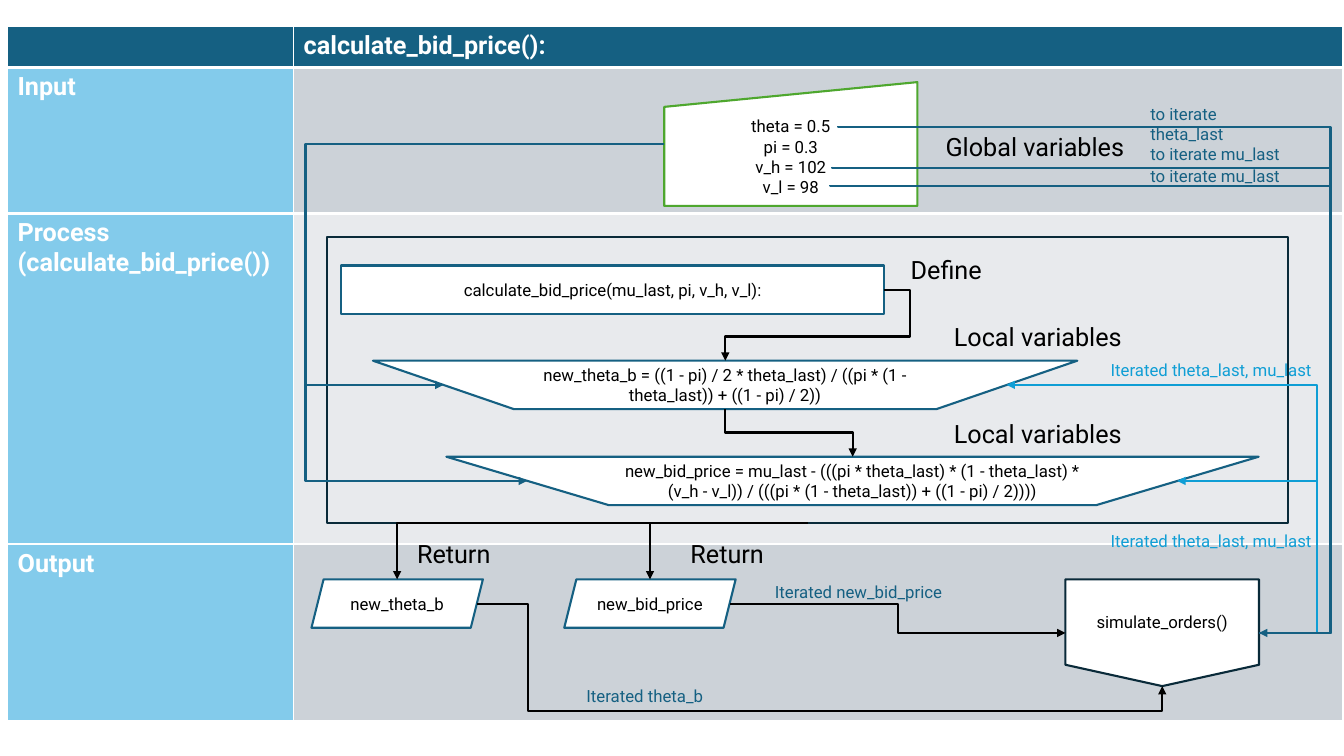
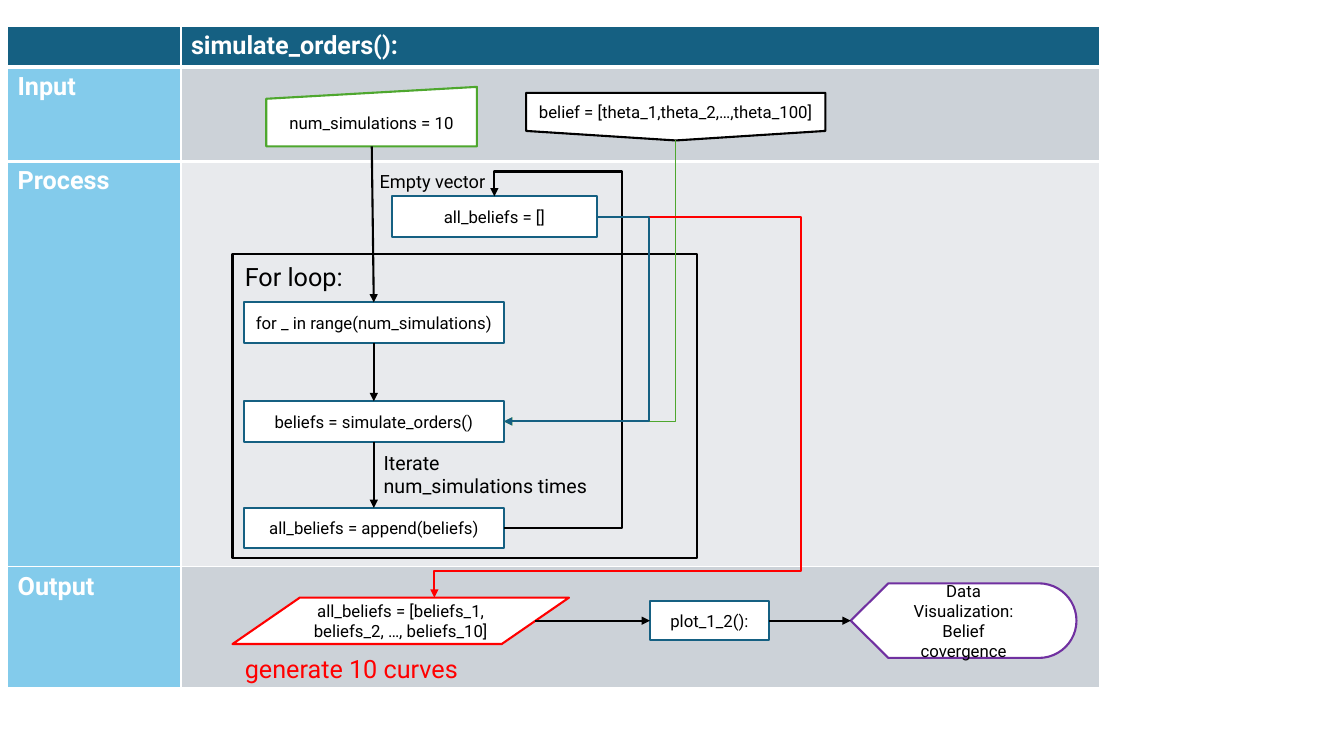
import lxml.etree
import pptx
import pptx.dml.color
import pptx.enum.shapes
import pptx.enum.text
import pptx.oxml.ns
import pptx.util

Cm = pptx.util.Cm
Pt = pptx.util.Pt
RGB = pptx.dml.color.RGBColor
PRESET = pptx.enum.shapes.MSO_SHAPE
CONNECTOR = pptx.enum.shapes.MSO_CONNECTOR
qn = pptx.oxml.ns.qn

FONT = "Roboto"
TEAL = RGB(0x15, 0x60, 0x82)
SKY = RGB(0x83, 0xCB, 0xEB)
CYAN = RGB(0x0F, 0x9E, 0xD5)
NAVY = RGB(0x09, 0x2A, 0x39)
GREEN = RGB(0x4E, 0xA7, 0x2E)
RED = RGB(0xFF, 0x00, 0x00)
PURPLE = RGB(0x70, 0x30, 0xA0)
BAND_DARK = RGB(0xCC, 0xD2, 0xD8)
BAND_LIGHT = RGB(0xE8, 0xEA, 0xED)
BLACK = RGB(0x00, 0x00, 0x00)
WHITE = RGB(0xFF, 0xFF, 0xFF)

LANES_LEFT, LANES_TOP = 0.19, 0.66
ROW_FILLS = [(TEAL, TEAL), (SKY, BAND_DARK), (SKY, BAND_LIGHT), (SKY, BAND_DARK)]
SITE_TOLERANCE = 0.06

RECT = PRESET.RECTANGLE
INPUT = PRESET.FLOWCHART_MANUAL_INPUT
OPERATION = PRESET.FLOWCHART_MANUAL_OPERATION
OFFPAGE = PRESET.FLOWCHART_OFFPAGE_CONNECTOR
SLANTED = PRESET.PARALLELOGRAM
DATA = PRESET.FLOWCHART_DATA
DISPLAY = PRESET.FLOWCHART_DISPLAY

BID_PRICE = {
    "headings": ["calculate_bid_price():", "Input",
                 "Process\n(calculate_bid_price())", "Output"],
    "columns": (7.21, 26.44),
    "rows": (1.04, 3.68, 8.33, 4.45),
    "steps": [
        (RECT, "calculate_bid_price(mu_last, pi, v_h, v_l):", TEAL, (8.6, 6.69, 13.69, 1.22)),
        (INPUT, "theta = 0.5\npi = 0.3\nv_h = 102\nv_l = 98", GREEN, (16.74, 2.07, 6.38, 3.12)),
        (OPERATION, "new_theta_b = ((1 - pi) / 2 * theta_last) / "
                    "((pi * (1 - theta_last)) + ((1 - pi) / 2))",
         TEAL, (9.4, 9.09, 17.75, 1.22)),
        (OPERATION, "new_bid_price = mu_last - (((pi * theta_last) * (1 - theta_last) * "
                    "(v_h - v_l)) / (((pi * (1 - theta_last)) + ((1 - pi) / 2))))",
         TEAL, (11.25, 11.51, 20.47, 1.22)),
        (SLANTED, "new_theta_b", TEAL, (7.85, 14.6, 4.32, 1.22)),
        (SLANTED, "new_bid_price", TEAL, (14.22, 14.6, 4.32, 1.22)),
        (RECT, "", NAVY, (8.24, 5.98, 24.21, 7.2)),
        (OFFPAGE, "simulate_orders()", NAVY, (26.85, 14.6, 4.88, 2.69)),
    ],
    "routes": [
        (TEAL, 1.5, True, [(16.74, 3.63), (7.72, 3.63), (7.72, 9.7), (11.18, 9.7)]),
        (TEAL, 1.5, True, [(16.74, 3.63), (7.7, 3.63), (7.7, 12.12), (13.28, 12.12)]),
        (BLACK, 1.5, True, [(20.35, 13.18), (10.01, 13.18), (10.01, 14.6)]),
        (BLACK, 1.5, True, [(20.35, 13.18), (20.35, 13.18), (16.38, 13.18), (16.38, 14.6)]),
        (BLACK, 1.5, True, [(18.39, 15.21), (22.63, 15.21), (22.63, 15.95), (26.85, 15.95)]),
        (BLACK, 1.5, True, [(12.01, 15.21), (13.31, 15.21), (13.31, 17.91),
                            (29.29, 17.91), (29.29, 17.29)]),
        (BLACK, 1.5, True, [(22.29, 7.3), (22.94, 7.3), (22.94, 8.48),
                            (18.28, 8.48), (18.28, 9.09)]),
        (BLACK, 1.5, True, [(18.28, 10.31), (18.28, 10.9), (21.49, 10.9), (21.49, 11.51)]),
        (CYAN, 1.5, True, [(31.73, 15.95), (33.2, 15.95), (33.2, 9.7), (25.37, 9.7)]),
        (CYAN, 1.5, True, [(31.73, 15.95), (33.2, 15.95), (33.2, 12.12), (29.67, 12.12)]),
        (TEAL, 1.5, True, [(21.13, 3.18), (21.13, 3.2), (33.53, 3.2),
                           (33.53, 15.95), (31.73, 15.95)]),
        (TEAL, 1.5, False, [(20.97, 4.2), (20.97, 4.23), (33.53, 4.23),
                            (33.53, 15.95), (31.73, 15.95)]),
        (TEAL, 1.5, False, [(20.93, 4.67), (20.93, 4.69), (33.53, 4.69),
                            (33.53, 15.95), (31.73, 15.95)]),
    ],
    "labels": [
        ("Define", 18, BLACK, (22.7, 6.29, 2.44)),
        ("Return", 18, BLACK, (10.26, 13.44, 2.44)),
        ("Return", 18, BLACK, (17.15, 13.44, 2.44)),
        ("Global variables", 18, BLACK, (23.58, 3.18, 5.49)),
        ("Local variables", 18, BLACK, (23.79, 7.97, 5.49)),
        ("Local variables", 18, BLACK, (23.79, 10.41, 5.49)),
        ("Iterated theta_last, mu_last", 12, CYAN, (27.74, 8.94, 5.74)),
        ("Iterated theta_last, mu_last", 12, CYAN, (27.74, 13.25, 5.74)),
        ("to iterate theta_last", 12, TEAL, (28.74, 2.49, 4.04)),
        ("to iterate mu_last", 12, TEAL, (28.74, 3.5, 4.04)),
        ("to iterate mu_last", 12, TEAL, (28.74, 4.04, 4.04)),
        ("Iterated theta_b", 12, TEAL, (14.53, 17.15, 3.84)),
        ("Iterated new_bid_price", 12, TEAL, (19.28, 14.54, 4.88)),
    ],
}

SIMULATE = {
    "headings": ["simulate_orders():", "Input", "Process", "Output"],
    "columns": (4.37, 23.16),
    "rows": (1.02, 2.39, 10.21, 3.05),
    "steps": [
        (OFFPAGE, "belief = [theta_1,theta_2,…,theta_100]", BLACK, (13.26, 2.34, 7.54, 1.2)),
        (INPUT, "num_simulations = 10", GREEN, (6.71, 2.19, 5.31, 1.5)),
        (RECT, "for _ in range(num_simulations)", TEAL, (6.15, 7.62, 6.55, 1.02)),
        (RECT, "", BLACK, (5.86, 6.4, 11.71, 7.67)),
        (RECT, "beliefs = simulate_orders()", TEAL, (6.15, 10.11, 6.55, 1.02)),
        (RECT, "all_beliefs = append(beliefs)", TEAL, (6.15, 12.8, 6.55, 1.02)),
        (DATA, "all_beliefs = [beliefs_1, beliefs_2, …, beliefs_10]", RED,
         (5.86, 15.06, 8.48, 1.17)),
        (RECT, "all_beliefs = []", TEAL, (9.87, 4.95, 5.18, 1.02)),
        (DISPLAY, "Data Visualization: Belief covergence", PURPLE, (21.44, 14.7, 5.69, 1.88)),
        (RECT, "plot_1_2():", TEAL, (16.38, 15.15, 3, 0.97)),
    ],
    "routes": [
        (BLACK, 1.5, True, [(9.37, 3.69), (9.42, 7.62)]),
        (GREEN, 1, True, [(17.03, 3.54), (17.03, 10.62), (12.7, 10.62)]),
        (BLACK, 1.5, True, [(9.42, 8.64), (9.42, 10.11)]),
        (BLACK, 1.5, True, [(9.42, 11.13), (9.42, 12.8)]),
        (BLACK, 1.5, True, [(12.7, 13.31), (15.68, 13.31), (15.68, 4.32),
                            (12.46, 4.32), (12.46, 4.95)]),
        (RED, 1.5, True, [(15.05, 5.46), (20.2, 5.46), (20.2, 14.38),
                          (10.95, 14.38), (10.95, 15.06)]),
        (TEAL, 1.5, True, [(15.05, 5.46), (16.36, 5.46), (16.36, 10.62), (12.7, 10.62)]),
        (BLACK, 1.5, True, [(13.49, 15.64), (16.38, 15.64)]),
        (BLACK, 1.5, True, [(19.38, 15.64), (21.44, 15.64)]),
    ],
    "labels": [
        ("For loop:", 18, BLACK, (5.92, 6.45, 3)),
        ("Iterate num_simulations times", 14, BLACK, (9.42, 11.23, 5.74)),
        ("generate 10 curves", 18, RED, (5.92, 16.33, 7.01)),
        ("Empty vector", 13, BLACK, (9.32, 4.17, 3.48)),
    ],
}


def write(text_frame, text, size, color, bold=False, align=None):
    text_frame.text = text
    for paragraph in text_frame.paragraphs:
        paragraph.alignment = align
        for run in paragraph.runs:
            run.font.name = FONT
            run.font.size = Pt(size)
            run.font.bold = bold
            run.font.color.rgb = color


def add_thick_edge(cell, side):
    edge = lxml.etree.Element(qn(side), w=str(Pt(3)))
    fill = lxml.etree.SubElement(edge, qn("a:solidFill"))
    lxml.etree.SubElement(fill, qn("a:srgbClr"), val=str(WHITE))
    cell.fill.solid()
    cell._tc.get_or_add_tcPr().insert(0, edge)


def add_lanes(slide, headings, columns, rows):
    lanes = slide.shapes.add_table(
        len(rows), len(columns), Cm(LANES_LEFT), Cm(LANES_TOP),
        Cm(sum(columns)), Cm(sum(rows))).table
    lanes.horz_banding = False
    for index, width in enumerate(columns):
        lanes.columns[index].width = Cm(width)
        add_thick_edge(lanes.cell(0, index), "a:lnB")
        add_thick_edge(lanes.cell(1, index), "a:lnT")
    for index, (heading, height, fills) in enumerate(zip(headings, rows, ROW_FILLS)):
        lanes.rows[index].height = Cm(height)
        for cell, color in zip(lanes.rows[index].cells, fills):
            cell.fill.solid()
            cell.fill.fore_color.rgb = color
        heading_cell = lanes.cell(index, 1 if index == 0 else 0)
        write(heading_cell.text_frame, heading, 18, WHITE, bold=True)


def add_step(slide, preset, text, outline, box):
    step = slide.shapes.add_shape(preset, *map(Cm, box))
    step.shadow.inherit = False
    step.line.color.rgb = outline
    step.line.width = Pt(1.5)
    if text:
        step.fill.solid()
        step.fill.fore_color.rgb = WHITE
        step.text_frame.word_wrap = True
        step.text_frame.vertical_anchor = pptx.enum.text.MSO_ANCHOR.MIDDLE
        write(step.text_frame, text, 12, BLACK, align=pptx.enum.text.PP_ALIGN.CENTER)
    else:
        step.fill.background()
    return step, preset, box


def find_site(steps, point):
    for step, preset, (left, top, width, height) in steps:
        if preset in (SLANTED, DATA):
            continue
        inset = width / 10 if preset == OPERATION else 0
        middle, center = top + height / 2, left + width / 2
        sites = [(center, top), (left + inset, middle), (center, top + height),
                 (left + width - inset, middle)]
        for index, site in enumerate(sites):
            if max(abs(site[0] - point[0]), abs(site[1] - point[1])) < SITE_TOLERANCE:
                return step, index
    return None


def bend(connector, points):
    upright = points[0][0] == points[1][0]
    turned = [(y, -x) if upright else (x, y) for x, y in points]
    (u0, v0), (u1, v1) = turned[0], turned[-1]
    width, height = abs(u1 - u0), abs(v1 - v0)
    connector.left = Cm((points[0][0] + points[-1][0] - width) / 2)
    connector.top = Cm((points[0][1] + points[-1][1] - height) / 2)
    connector.width, connector.height = Cm(width), Cm(height)

    flip_h, flip_v, turn = u1 < u0, v1 < v0, 90 if upright else 0
    if upright and flip_v:
        flip_h, flip_v, turn = not flip_h, False, 270
    frame = connector.element.spPr.find(qn("a:xfrm"))
    for name, value in (("rot", turn * 60000), ("flipH", int(flip_h)), ("flipV", int(flip_v))):
        frame.set(name, str(value))

    geometry = connector.element.spPr.find(qn("a:prstGeom"))
    geometry.set("prst", f"bentConnector{len(points) - 1}")
    ratios = [(turned[1][0] - u0) / (u1 - u0), (turned[2][1] - v0) / (v1 - v0)]
    guides = geometry.find(qn("a:avLst"))
    for number, ratio in enumerate(ratios[:len(points) - 3], 1):
        lxml.etree.SubElement(guides, qn("a:gd"), name=f"adj{number}",
                              fmla=f"val {round(ratio * 100000)}")


def add_route(slide, steps, color, width, arrow, points):
    bent = len(points) > 2
    kind = CONNECTOR.ELBOW if bent else CONNECTOR.STRAIGHT
    route = slide.shapes.add_connector(kind, *map(Cm, points[0] + points[-1]))
    if bent:
        for attach, point in ((route.begin_connect, points[0]), (route.end_connect, points[-1])):
            site = find_site(steps, point)
            if site:
                attach(*site)
        bend(route, points)
    route.line.color.rgb = color
    route.line.width = Pt(width)
    properties = route.element.spPr
    if arrow:
        lxml.etree.SubElement(properties.find(qn("a:ln")), qn("a:tailEnd"), type="triangle")
    lxml.etree.SubElement(properties, qn("a:effectLst"))


def add_label(slide, text, size, color, place):
    label = slide.shapes.add_textbox(*map(Cm, place), Cm(0.26 + 0.043 * size))
    label.text_frame.word_wrap = True
    label.text_frame.auto_size = pptx.enum.text.MSO_AUTO_SIZE.SHAPE_TO_FIT_TEXT
    write(label.text_frame, text, size, color)


def main():
    deck = pptx.Presentation()
    deck.slide_width, deck.slide_height = Cm(33.87), Cm(19.05)
    for flow in (BID_PRICE, SIMULATE):
        slide = deck.slides.add_slide(deck.slide_layouts[6])
        add_lanes(slide, flow["headings"], flow["columns"], flow["rows"])
        steps = [add_step(slide, *step) for step in flow["steps"]]
        for route in flow["routes"]:
            add_route(slide, steps, *route)
        for label in flow["labels"]:
            add_label(slide, *label)
    deck.save("out.pptx")


if __name__ == "__main__":
    main()
